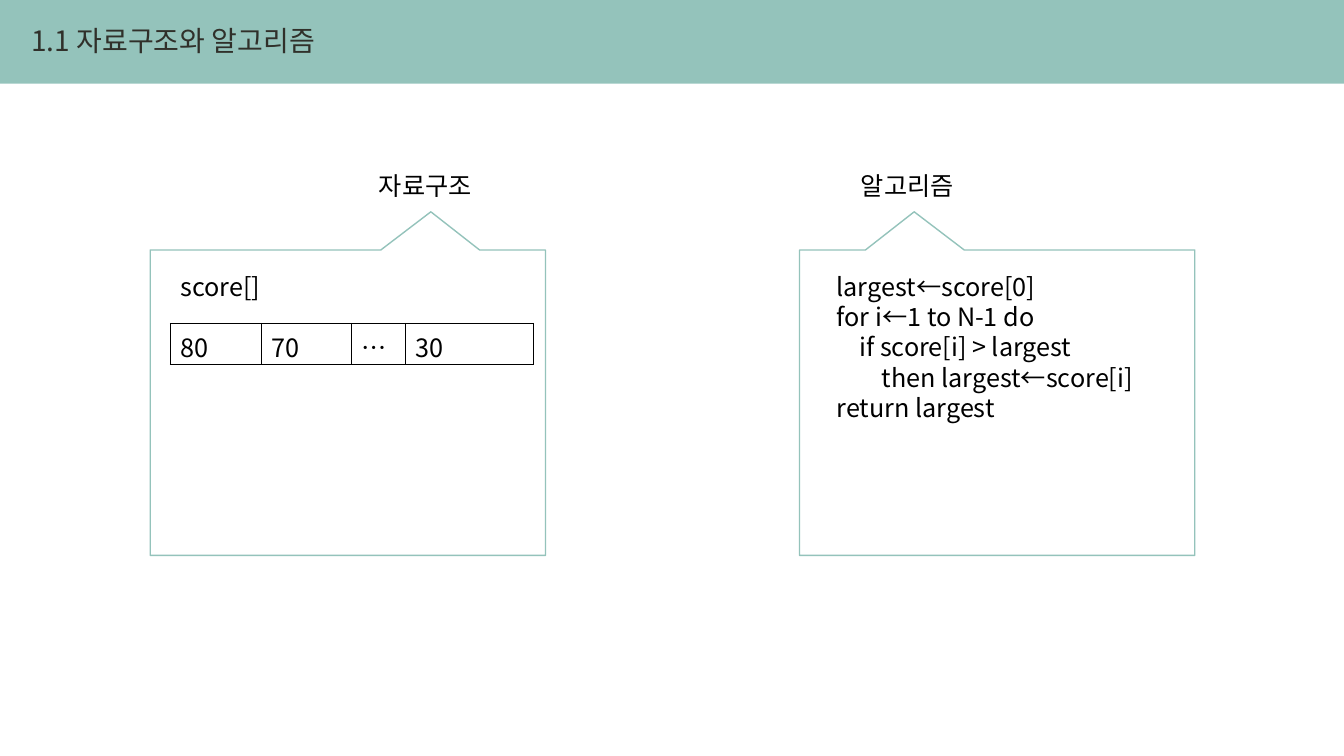
from lxml import etree
from pptx import Presentation
from pptx import util as u
from pptx.dml.color import RGBColor
from pptx.enum import shapes, text
from pptx.oxml import ns

MINT = RGBColor(0x94, 0xC3, 0xBB)
CHARCOAL = RGBColor(0x30, 0x30, 0x2A)
BLACK = RGBColor(0, 0, 0)
WHITE = RGBColor(255, 255, 255)

CODE = [
    "largest←score[0]",
    "for i←1 to N-1 do",
    "    if score[i] > largest",
    "        then largest←score[i]",
    "return largest",
]


class SlideBuilder:
    face = "Noto Sans CJK KR"
    size = 18

    def __init__(self, deck):
        self.slide = deck.slides.add_slide(deck.slide_layouts[5])
        fill = self.slide.background.fill
        fill.solid()
        fill.fore_color.rgb = MINT

    def add_lines(self, frame, lines, **changes):
        style = {"name": self.face, "size": u.Pt(self.size), "bold": False} | changes
        color = style.pop("color", BLACK)
        for number, line in enumerate(lines):
            para = frame.paragraphs[0] if number == 0 else frame.add_paragraph()
            para.alignment = text.PP_ALIGN.LEFT
            span = para.add_run()
            span.text = line
            for key, value in style.items():
                setattr(span.font, key, value)
            span.font.color.rgb = color
            east = etree.SubElement(span.font._element, ns.qn("a:ea"))
            east.set("typeface", self.face)

    def fit(self, frame):
        layout = {
            "word_wrap": True,
            "auto_size": text.MSO_AUTO_SIZE.SHAPE_TO_FIT_TEXT,
            "vertical_anchor": text.MSO_ANCHOR.TOP,
        }
        for key, value in layout.items():
            setattr(frame, key, value)

    def title(self, words, left, top, width, height):
        box = self.slide.shapes.title
        place = {"left": left, "top": top, "width": width, "height": height}
        for key, value in place.items():
            setattr(box, key, u.Inches(value))
        self.fit(box.text_frame)
        self.add_lines(box.text_frame, [words], size=u.Pt(20), color=CHARCOAL)

    def label(self, lines, *place):
        box = self.slide.shapes.add_textbox(*map(u.Inches, place))
        self.fit(box.text_frame)
        self.add_lines(box.text_frame, lines)

    def shape(self, kind, *place, outline=None):
        box = self.slide.shapes.add_shape(kind, *map(u.Inches, place))
        box.shadow.inherit = False
        box.fill.solid()
        box.fill.fore_color.rgb = WHITE
        if outline is None:
            box.line.fill.background()
        else:
            box.line.color.rgb = outline
            box.line.width = u.Pt(1)
        return box

    def callout(self, left, tip):
        kind = shapes.MSO_SHAPE.RECTANGULAR_CALLOUT
        box = self.shape(kind, left, 2.48, 3.92, 3.03, outline=MINT)
        box.rotation = 180
        box.adjustments[0] = tip
        box.adjustments[1] = 0.625

    def border(self, cell):
        properties = cell._tc.get_or_add_tcPr()
        for side in ("lnL", "lnR", "lnT", "lnB"):
            line = etree.SubElement(properties, ns.qn(f"a:{side}"), w=str(u.Pt(1)))
            solid = etree.SubElement(line, ns.qn("a:solidFill"))
            etree.SubElement(solid, ns.qn("a:srgbClr"), val=str(BLACK))

    def array(self, values, widths, left, top, height):
        place = map(u.Inches, (left, top, sum(widths), height))
        table = self.slide.shapes.add_table(1, len(values), *place).table
        table.first_row = table.horz_banding = False
        for column, width in zip(table.columns, widths):
            column.width = u.Inches(width)
        for cell, value in zip(table.rows[0].cells, values):
            self.border(cell)
            cell.fill.solid()
            cell.fill.fore_color.rgb = WHITE
            self.add_lines(cell.text_frame, [value])


def main():
    deck = Presentation()
    deck.slide_width = u.Inches(13.33)
    deck.slide_height = u.Inches(7.5)
    page = SlideBuilder(deck)
    page.shape(shapes.MSO_SHAPE.RECTANGLE, 0, 0.83, 13.33, 6.67)
    page.title("1.1 자료구조와 알고리즘", 0.21, 0.18, 4.44, 0.44)
    for left, tip in ((1.49, -0.21), (7.93, 0.21)):
        page.callout(left, tip)
    for heading, left in (("자료구조", 3.66), ("알고리즘", 8.44)):
        page.label([heading], left, 1.64, 1.49, 0.4)
    page.label(["score[]"], 1.69, 2.64, 1.49, 0.4)
    page.array(["80", "70", "…", "30"], [0.9, 0.9, 0.53, 1.27], 1.69, 3.21, 0.41)
    page.label(CODE, 8.2, 2.64, 3.32, 1.62)
    deck.save("out.pptx")


if __name__ == "__main__":
    main()
